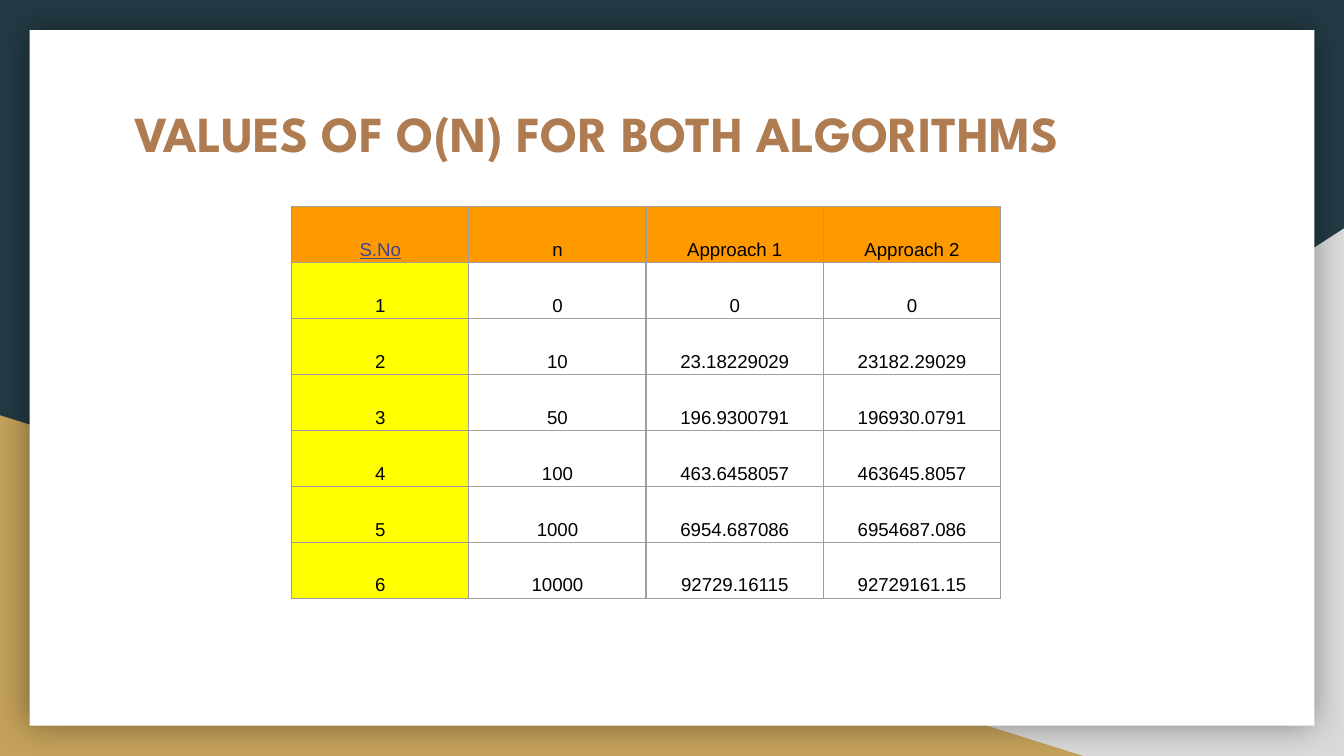
from pptx import Presentation
from pptx.dml.color import RGBColor
from pptx.enum.shapes import MSO_SHAPE as Preset
from pptx.enum.text import MSO_ANCHOR as Anchor, MSO_AUTO_SIZE as AutoSize, PP_ALIGN as Align
from pptx.oxml import parse_xml
from pptx.oxml.ns import nsdecls
from pptx.util import Cm, Pt

NAVY = RGBColor(0x23, 0x3A, 0x44)
GREY = RGBColor(0xD9, 0xD9, 0xD9)
GOLD = RGBColor(0xC4, 0xA1, 0x5A)
WHITE = RGBColor(0xFF, 0xFF, 0xFF)
BLACK = RGBColor(0x00, 0x00, 0x00)
BROWN = RGBColor(0xAF, 0x7B, 0x51)
ORANGE = RGBColor(0xFF, 0x99, 0x00)
YELLOW = RGBColor(0xFF, 0xFF, 0x00)
LINK_BLUE = RGBColor(0x3D, 0x45, 0x94)
BORDER = RGBColor(0x9E, 0x9E, 0x9E)

TITLE = "VALUES OF O(N) FOR BOTH ALGORITHMS"
ROWS = [
    ("S.No", "n", "Approach 1", "Approach 2"),
    ("1", "0", "0", "0"),
    ("2", "10", "23.18229029", "23182.29029"),
    ("3", "50", "196.9300791", "196930.0791"),
    ("4", "100", "463.6458057", "463645.8057"),
    ("5", "1000", "6954.687086", "6954687.086"),
    ("6", "10000", "92729.16115", "92729161.15"),
]


def apply(target, values):
    """Set each named attribute of the target."""
    for name, value in values.items():
        setattr(target, name, value)


def write(frame, text, align, color, font):
    """Write one formatted paragraph into a text frame."""
    para = frame.paragraphs[0]
    apply(para, {"alignment": align, "line_spacing": 1.15})
    span = para.add_run()
    span.text = text
    apply(span.font, font)
    span.font.color.rgb = color


def add_panel(page, preset, box, color):
    """Add a plain filled shape without outline."""
    panel = page.shapes.add_shape(preset, *map(Cm, box))
    panel.shadow.inherit = False
    panel.fill.solid()
    panel.fill.fore_color.rgb = color
    panel.line.fill.background()
    return panel


def add_backdrop(page, width, height):
    """Paint the background, corner triangles and shadowed white card."""
    page.background.fill.solid()
    page.background.fill.fore_color.rgb = NAVY
    right = add_panel(page, Preset.RIGHT_TRIANGLE, (width - 15.44, height - 9.97, 15.44, 9.97), GREY)
    right._element.spPr.get_or_add_xfrm().set("flipH", "1")
    add_panel(page, Preset.RIGHT_TRIANGLE, (0, height - 6.44, 20.47, 6.44), GOLD)
    card = add_panel(page, Preset.RECTANGLE, (0.56, 0.57, width - 1.12, height - 1.14), WHITE)
    card.shadow.inherit = True
    card._element.spPr.append(parse_xml(
        f'<a:effectLst {nsdecls("a")}><a:outerShdw blurRad="{Pt(18)}" dist="0" dir="0" '
        'algn="bl" rotWithShape="0"><a:srgbClr val="000000"><a:alpha val="40000"/>'
        '</a:srgbClr></a:outerShdw></a:effectLst>'))


def place_title(page, box):
    """Format the title placeholder and bring it in front of the card."""
    title = page.shapes.title
    apply(title, dict(zip(("left", "top", "width", "height"), map(Cm, box))))
    margins = {f"margin_{side}": Cm(0.25) for side in ("left", "top", "right", "bottom")}
    apply(title.text_frame, {"word_wrap": True, "auto_size": AutoSize.NONE,
                             "vertical_anchor": Anchor.TOP, **margins})
    write(title.text_frame, TITLE, Align.JUSTIFY, BROWN,
          {"name": "League Spartan", "size": Pt(27), "bold": True})
    page.shapes._spTree.append(title._element)


def add_borders(cell):
    """Draw a thin grey line on every side of a cell."""
    for index, side in enumerate("LRTB"):
        cell._tc.get_or_add_tcPr().insert(index, parse_xml(
            f'<a:ln{side} {nsdecls("a")} w="{Pt(0.75)}"><a:solidFill>'
            f'<a:srgbClr val="{BORDER}"/></a:solidFill></a:ln{side}>'))


def fill_cell(cell, text, row, column):
    """Format a cell according to its place in the grid."""
    apply(cell, {"vertical_anchor": Anchor.BOTTOM, "margin_left": Cm(0.08),
                 "margin_right": Cm(0.08), "margin_top": Cm(0.05), "margin_bottom": Cm(0.05)})
    if row == 0 or column == 0:
        cell.fill.solid()
        cell.fill.fore_color.rgb = ORANGE if row == 0 else YELLOW
    else:
        cell.fill.background()
    add_borders(cell)
    is_corner = row == column == 0
    write(cell.text_frame, text, Align.CENTER, LINK_BLUE if is_corner else BLACK,
          {"name": "Arial", "size": Pt(10), "underline": is_corner})


def add_values(page, box):
    """Add the table of values, split evenly over the box."""
    table = page.shapes.add_table(len(ROWS), len(ROWS[0]), *map(Cm, box)).table
    apply(table, {"first_row": False, "horz_banding": False})
    for row, texts in enumerate(ROWS):
        for column, text in enumerate(texts):
            fill_cell(table.cell(row, column), text, row, column)


def main():
    """Build and save the slide."""
    width, height = 25.4, 14.29
    deck = Presentation()
    apply(deck, {"slide_width": Cm(width), "slide_height": Cm(height)})
    page = deck.slides.add_slide(deck.slide_layouts[5])
    add_backdrop(page, width, height)
    place_title(page, (2.29, 1.5, 20.85, 2.64))
    add_values(page, (5.51, 3.91, 13.4, 7.41))
    deck.save("out.pptx")


if __name__ == "__main__":
    main()
